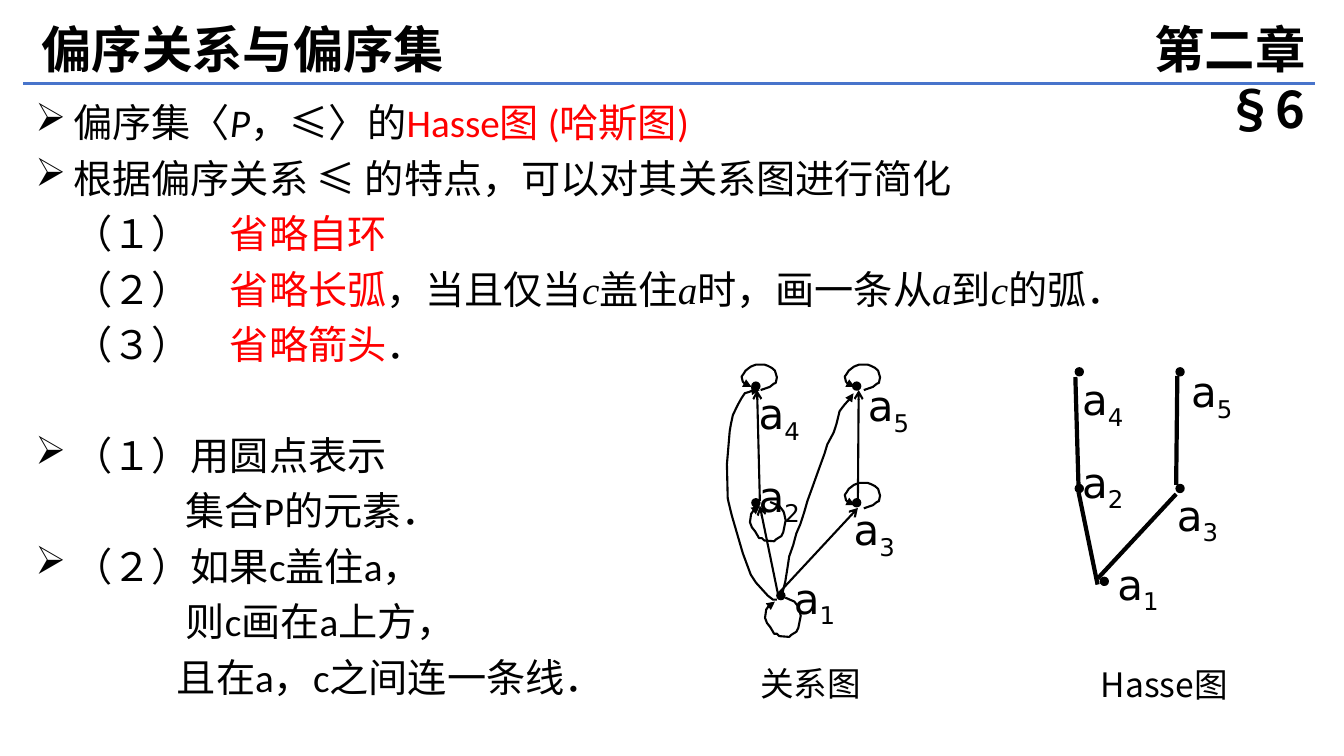
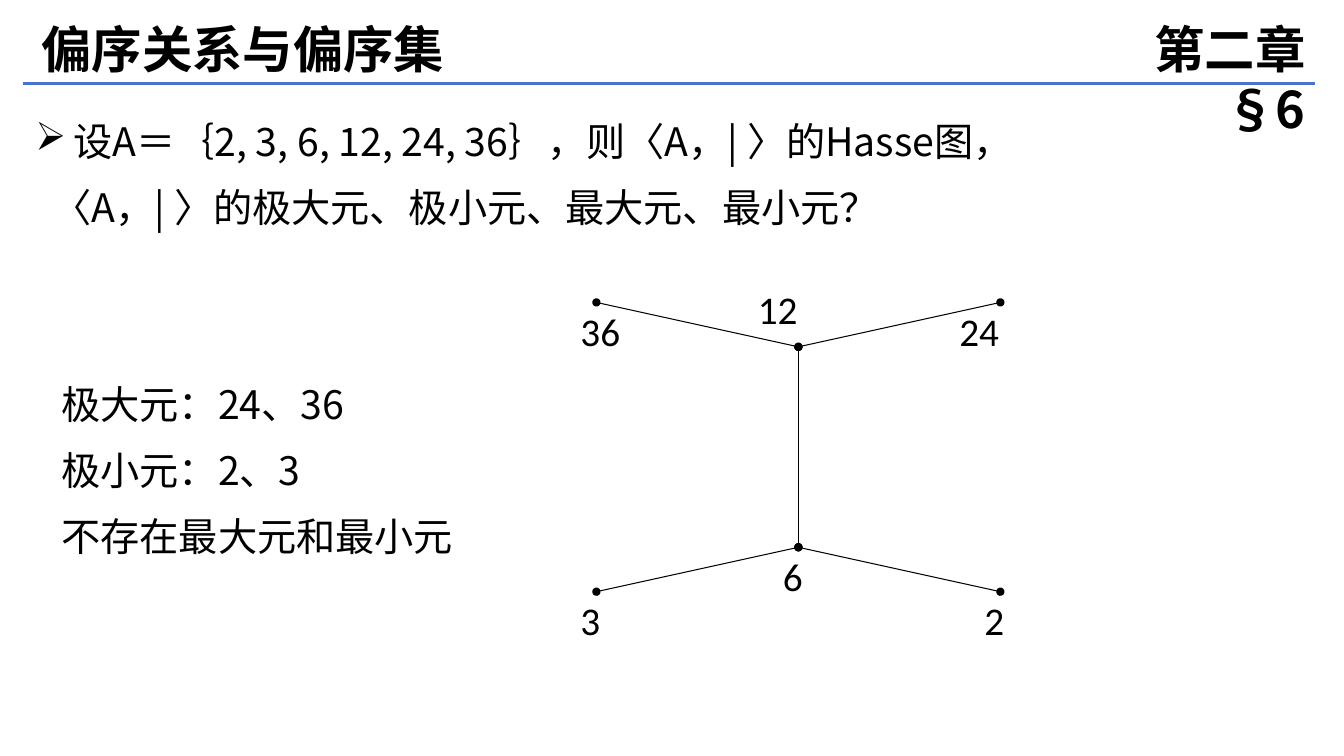
from lxml import etree
from pptx import Presentation
from pptx.dml.color import RGBColor
from pptx.enum.shapes import MSO_CONNECTOR, MSO_SHAPE
from pptx.enum.text import PP_ALIGN
from pptx.oxml.ns import qn
from pptx.util import Cm, Pt

STRAIGHT = MSO_CONNECTOR.STRAIGHT
OVAL = MSO_SHAPE.OVAL
LEFT, CENTER, RIGHT = PP_ALIGN.LEFT, PP_ALIGN.CENTER, PP_ALIGN.RIGHT

BLACK, RED, BLUE = "000000", "FF0000", "4874CB"
CJK, LATIN, SERIF, NODE = "Noto Sans CJK SC", "Calibri", "Times New Roman", "DejaVu Sans"
color = RGBColor.from_string


def add_text(page, place, lines, size=28, font=CJK, bold=False, align=LEFT,
             spacing=None, after=0, wrap=True):
    """Each line is (layout, spans); each span is (text, changes)."""
    box = page.shapes.add_textbox(*[Cm(value) for value in place])
    box.text_frame.word_wrap = wrap
    for number, (layout, spans) in enumerate(lines):
        para = box.text_frame.paragraphs[0] if number == 0 else box.text_frame.add_paragraph()
        para.alignment = align
        para.space_before, para.space_after = Pt(layout.get("before", 0)), Pt(after)
        if spacing:
            para.line_spacing = Pt(spacing)
        properties = para._p.get_or_add_pPr()
        properties.set("marL", str(Cm(layout.get("indent", 0))))
        if layout.get("bullet"):
            properties.set("indent", str(-Cm(layout["indent"])))
            etree.SubElement(properties, qn("a:buChar"), char="➢")
        for text, changes in spans:
            span = para.add_run()
            span.text = text
            span.font.size, span.font.bold = Pt(size), bold
            span.font.italic = changes.get("italic", False)
            span.font.color.rgb = color(changes.get("color", BLACK))
            span.font.name = changes.get("font", font)
            run_properties = span._r.get_or_add_rPr()
            etree.SubElement(run_properties, qn("a:ea"), typeface=CJK)
            if changes.get("subscript"):
                run_properties.set("baseline", "-25000")


def add_line(page, points, width, line_color=BLACK, head=None, tail=None):
    """Two points give a straight connector, more give an open outline."""
    points = [(Cm(x), Cm(y)) for x, y in points]
    if len(points) == 2:
        line = page.shapes.add_connector(STRAIGHT, *points[0], *points[1])
    else:
        builder = page.shapes.build_freeform(*points[0], scale=1.0)
        builder.add_line_segments(points[1:], close=False)
        line = builder.convert_to_shape()
        line.fill.background()
    line.line.color.rgb = color(line_color)
    line.line.width = Pt(width)
    outline = line.line._get_or_add_ln()
    for end, kind in (("a:headEnd", head), ("a:tailEnd", tail)):
        if kind:
            etree.SubElement(outline, qn(end), type=kind)
    etree.SubElement(line._element.spPr, qn("a:effectLst"))


deck = Presentation()
deck.slide_width, deck.slide_height = Cm(33.87), Cm(19.05)

# Shared header
pages = [deck.slides.add_slide(deck.slide_layouts[6]) for _ in range(2)]
for page in pages:
    add_line(page, [(0.58, 2.11), (33.15, 2.11)], 2.25, BLUE)
    add_text(page, (0.79, 0.33, 14.63, 1.8), [({}, [("偏序关系与偏序集", {})])],
             size=36, bold=True, spacing=43.2)
    add_text(page, (26.7, 0.33, 6.45, 1.8), [({}, [("第二章", {})]), ({}, [("§6", {})])],
             size=36, bold=True, align=RIGHT, spacing=43.2)
BODY = (0.64, 2.36, 32.49, 15.93)
hasse_rules, division_example = pages

# Slide 1: rules for a Hasse diagram
bullet = {"bullet": True, "indent": 0.96}
step = {"indent": 0.96}
red = {"color": RED}
variable = {"font": SERIF, "italic": True}
add_text(hasse_rules, BODY, [
    (bullet, [("偏序集〈", {}), ("P", {"italic": True}), ("，≤〉的", {}),
              ("Hasse图 (哈斯图)", red)]),
    (bullet, [("根据偏序关系 ≤ 的特点，可以对其关系图进行简化", {})]),
    (step, [("（１）　", {}), ("省略自环", red)]),
    (step, [("（２）　", {}), ("省略长弧", red), ("，当且仅当", {}), ("c", variable),
            ("盖住", {}), ("a", variable), ("时，画一条从", {}), ("a", variable),
            ("到", {}), ("c", variable), ("的弧．", {})]),
    (step, [("（３）　", {}), ("省略箭头", red), ("．", {})]),
    ({**bullet, "before": 39.6}, [("（１）用圆点表示", {})]),
    ({"indent": 3.79}, [("集合P的元素．", {})]),
    (bullet, [("（２）如果c盖住a，", {})]),
    ({"indent": 3.79}, [("则c画在a上方，", {})]),
    ({"indent": 3.57}, [("且在a，c之间连一条线．", {})]),
], font=LATIN, spacing=33.6, after=6)

# Edges of the Hasse diagram
for edge in [
    [(27.18, 12.27), (27.1, 9.5)],
    [(29.64, 12.22), (29.67, 9.47)],
    [(27.66, 14.73), (27.18, 12.4)],
    [(27.66, 14.58), (29.64, 12.45)],
]:
    add_line(hasse_rules, edge, 3)

# Arrows of the relation diagram
for edge in [
    [(19.15, 12.62), (19.08, 9.83)],
    [(21.62, 12.57), (21.64, 9.83)],
    [(19.63, 15.09), (19.15, 12.75)],
    [(19.63, 14.94), (21.62, 12.8)],
]:
    add_line(hasse_rules, edge, 1.5, tail="arrow")

# Self loops and long arcs of the relation diagram
upper_loop = [(0.48, 0.64), (0.71, 0.56), (0.81, 0.48), (0.86, 0.46), (0.89, 0.32),
              (0.84, 0.15), (0.76, 0.08), (0.66, 0.03), (0.58, 0), (0.36, 0),
              (0.28, 0.03), (0.23, 0.05), (0.1, 0.15), (0.05, 0.23), (0, 0.3),
              (0.03, 0.43), (0.08, 0.48), (0.18, 0.53), (0.25, 0.56)]
lower_loop = [(0.51, 0), (0.74, 0.1), (0.84, 0.23), (0.86, 0.28), (0.9, 0.46),
              (0.84, 0.76), (0.79, 0.86), (0.66, 0.94), (0.61, 0.99), (0.36, 0.97),
              (0.3, 0.91), (0.23, 0.91), (0.13, 0.74), (0.05, 0.64), (0, 0.51),
              (0.03, 0.3), (0.08, 0.23), (0.18, 0.15), (0.25, 0.1)]
arc_to_a4 = [(19.58, 15.11), (19.48, 15.11), (19.35, 15.01), (19.05, 14.68),
             (18.92, 14.48), (18.72, 13.94), (18.44, 12.98), (18.36, 12.65),
             (18.34, 12.55), (18.32, 11.7), (18.39, 10.87), (18.42, 10.69),
             (18.47, 10.46), (18.59, 10.21), (18.69, 10.03), (18.77, 9.91),
             (18.87, 9.88), (19, 9.83), (19.15, 9.83)]
arc_to_a5 = [(19.69, 15.06), (19.79, 14.66), (19.84, 14.35), (19.89, 14.02),
             (19.99, 13.74), (20.07, 13.44), (20.17, 13.21), (20.27, 12.9),
             (20.35, 12.62), (20.47, 12.29), (20.57, 12.01), (20.65, 11.79),
             (20.78, 11.43), (20.85, 11.2), (21.01, 10.9), (21.08, 10.69),
             (21.16, 10.36), (21.29, 10.19), (21.41, 10.06), (21.51, 9.91)]
for left, top, curve in [
    (18.69, 9.19, upper_loop), (21.29, 9.19, upper_loop), (21.29, 12.17, upper_loop),
    (19.28, 15.06, lower_loop), (18.9, 12.65, lower_loop),
    (0, 0, arc_to_a4), (0, 0, arc_to_a5),
]:
    add_line(hasse_rules, [(left + x, top + y) for x, y in curve], 1.5, tail="triangle")

# Nodes: index, dot corner, label corner; the Hasse diagram repeats them shifted
nodes = [
    ("1", 19.58, 14.91, 19.76, 14.3),
    ("2", 18.95, 12.57, 18.87, 11.73),
    ("3", 21.49, 12.57, 21.26, 12.57),
    ("4", 18.95, 9.63, 18.87, 9.65),
    ("5", 21.49, 9.63, 21.62, 9.45),
]
for shift_x, shift_y in [(0, 0), (8.15, -0.36)]:
    for index, dot_x, dot_y, label_x, label_y in nodes:
        dot = hasse_rules.shapes.add_shape(
            OVAL, Cm(dot_x + shift_x), Cm(dot_y + shift_y), Cm(0.2), Cm(0.2))
        dot.shadow.inherit = False
        dot.fill.solid()
        dot.fill.fore_color.rgb = color(BLACK)
        dot.line.color.rgb = color(BLACK)
        dot.line.width = Pt(1)
        add_text(hasse_rules, (label_x + shift_x, label_y + shift_y, 1.6, 1.55),
                 [({}, [("a", {}), (index, {"subscript": True})])],
                 size=30, font=NODE, wrap=False)

# Captions
for caption, left, top, width in [("关系图", 17.25, 16.59, 6.35), ("Hasse图", 26.37, 16.61, 5.94)]:
    add_text(hasse_rules, (left, top, width, 1.27), [({}, [(caption, {})])],
             size=24, align=CENTER, spacing=28.8)

# Slide 2: divisibility example
add_text(division_example, BODY, [
    (bullet, [("设A＝｛2, 3, 6, 12, 24, 36｝，则〈A，| 〉的Hasse图，", {})]),
    ({"indent": 0.44}, [("〈A，| 〉的极大元、极小元、最大元、最小元？", {})]),
    ({"indent": 0.66, "before": 94}, [("极大元：24、36", {})]),
    ({"indent": 0.66}, [("极小元：2、3", {})]),
    ({"indent": 0.66}, [("不存在最大元和最小元", {})]),
], spacing=47)

# Hasse diagram: two hubs, each with a tip on both sides
hub_x, upper_y, lower_y, reach, rise = 20.12, 8.74, 13.79, 5.09, 1.12
edges = [[(hub_x, upper_y), (hub_x, lower_y)]]
for hub_y, tip_y in [(upper_y, upper_y - rise), (lower_y, lower_y + rise)]:
    for side in (-1, 1):
        edges.append([(hub_x, hub_y), (hub_x + side * reach, tip_y)])
for edge in edges:
    add_line(division_example, edge, 0.75, head="oval", tail="oval")

for number, left, top in [
    ("36", 14.38, 7.62), ("12", 18.85, 7.06), ("24", 23.93, 7.62),
    ("3", 14.38, 14.91), ("6", 19.48, 13.79), ("2", 24.56, 14.91),
]:
    add_text(division_example, (left, top, 2.3, 1.68), [({}, [(number, {})])], font=LATIN)

deck.save("out.pptx")
